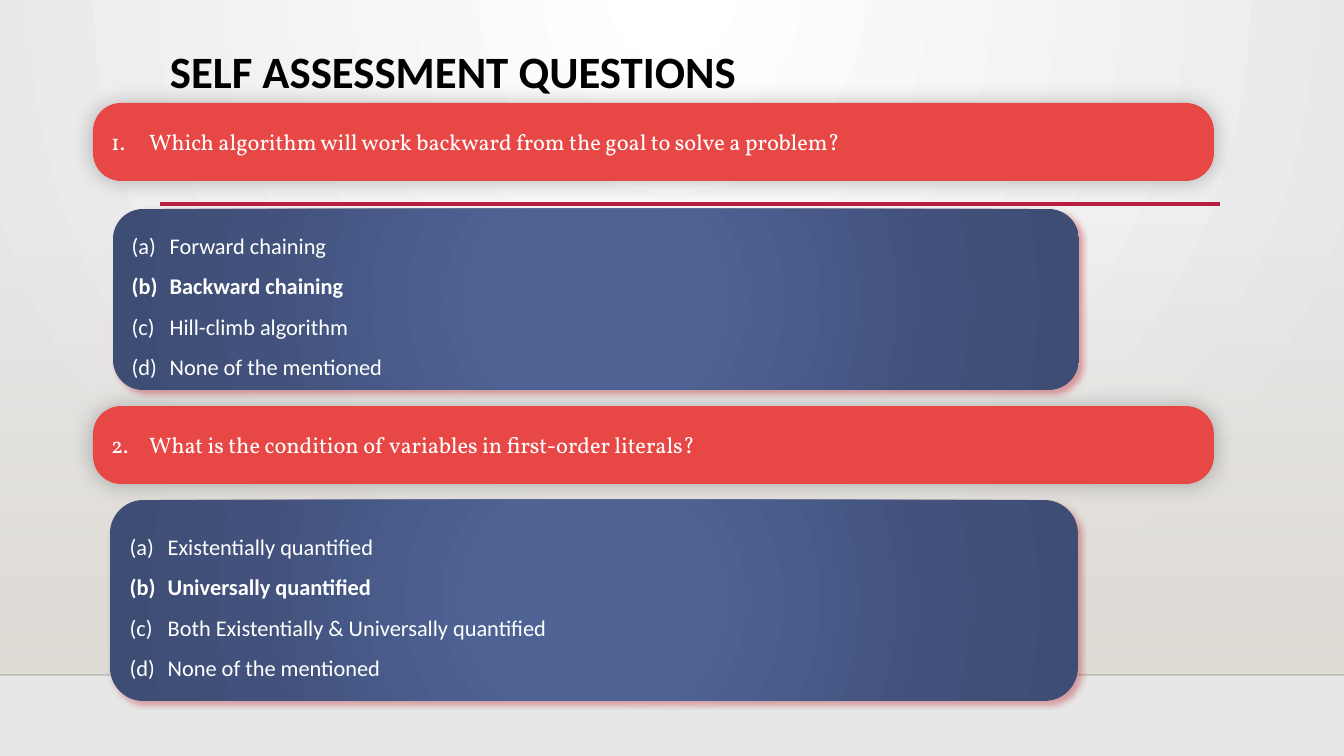
from lxml.etree import SubElement
from pptx import Presentation
from pptx.dml.color import RGBColor
from pptx.enum.shapes import MSO_CONNECTOR, MSO_SHAPE
from pptx.enum.text import MSO_ANCHOR, PP_ALIGN
from pptx.oxml import parse_xml
from pptx.oxml.ns import nsdecls, qn
from pptx.util import Pt

SCALE = 914400 / 100.8
WIDTH, HEIGHT = 1344, 756
INDENT = 38

WHITE = RGBColor(0xFF, 0xFF, 0xFF)
BLACK = RGBColor(0x00, 0x00, 0x00)
RULE = RGBColor(0x00, 0x00, 0x01)
SILVER = RGBColor(0xE7, 0xE7, 0xE7)
SAND = RGBColor(0xDF, 0xDB, 0xD5)
CRIMSON = RGBColor(0xB7, 0x1E, 0x42)
RED = RGBColor(0xE8, 0x48, 0x45)
ROSE = RGBColor(0xBA, 0x25, 0x32)
BLUE = RGBColor(0x4E, 0x62, 0x94)
SLATE = RGBColor(0x42, 0x52, 0x7C)
NAVY = RGBColor(0x3E, 0x4D, 0x74)

LINEAR = '<a:lin ang="5400000" scaled="0"/>'
CIRCLE = '<a:path path="circle"><a:fillToRect l="{}" t="{}" r="{}" b="{}"/></a:path>'
SPOTLIGHT = CIRCLE.format(43000, 0, 43000, 100000)
CENTERED = CIRCLE.format(50000, 50000, 50000, 50000)

TITLE_FONT = {"name": "Calibri", "size": Pt(32), "bold": True}
QUESTION_FONT = {"name": "Vollkorn", "size": Pt(16)}
ANSWER_FONT = {"name": "Calibri", "size": Pt(16)}

QUIZ = [
    {
        "question": "Which algorithm will work backward from the goal to solve a problem?",
        "question_box": (93, 103, 1121, 78),
        "answers": ["Forward chaining", "Backward chaining",
                    "Hill-climb algorithm", "None of the mentioned"],
        "answer_box": (113, 209, 966, 181),
        "correct": 1,
    },
    {
        "question": "What is the condition of variables in first-order literals?",
        "question_box": (93, 406, 1121, 78),
        "answers": ["Existentially quantified", "Universally quantified",
                    "Both Existentially & Universally quantified",
                    "None of the mentioned"],
        "answer_box": (110, 500, 968, 201),
        "correct": 1,
    },
]


def px(n):
    return round(n * SCALE)


def set_gradient(fill, element, stops, shade):
    fill.gradient()
    old = element.find(".//" + qn("a:gradFill"))
    marks = "".join(
        f'<a:gs pos="{pos * 1000}"><a:srgbClr val="{color}">'
        f'<a:alpha val="{alpha * 1000}"/></a:srgbClr></a:gs>'
        for pos, color, alpha in stops)
    grad = parse_xml(f'<a:gradFill {nsdecls("a")} rotWithShape="1">'
                     f'<a:gsLst>{marks}</a:gsLst>{shade}</a:gradFill>')
    old.getparent().replace(old, grad)


def add_panel(s, kind, box):
    sp = s.shapes.add_shape(kind, *map(px, box))
    sp.shadow.inherit = False
    sp.line.fill.background()
    return sp


def add_shadow(sp, color, alpha, blur, dist, angle):
    effects = sp.element.spPr.find(qn("a:effectLst"))
    shadow = SubElement(effects, qn("a:outerShdw"), blurRad=str(Pt(blur)),
                        dist=str(Pt(dist)), dir=str(angle * 60000),
                        algn="ctr", rotWithShape="0")
    tint = SubElement(shadow, qn("a:srgbClr"), val=str(color))
    SubElement(tint, qn("a:alpha"), val=str(alpha * 1000))


def add_rule(s, x1, x2, y, color, width):
    line = s.shapes.add_connector(MSO_CONNECTOR.STRAIGHT,
                                  px(x1), px(y), px(x2), px(y))
    line.line.color.rgb = color
    line.line.width = Pt(width)
    SubElement(line.element.spPr, qn("a:effectLst"))
    return line


def write(p, text, fmt, color):
    p.alignment = PP_ALIGN.LEFT
    r = p.add_run()
    r.text = text
    for key, value in fmt.items():
        setattr(r.font, key, value)
    r.font.color.rgb = color


def number(p, scheme, start=1):
    pPr = p._p.get_or_add_pPr()
    pPr.set("marL", str(px(INDENT)))
    pPr.set("indent", str(-px(INDENT)))
    SubElement(pPr, qn("a:buFont"), typeface="+mj-lt")
    SubElement(pPr, qn("a:buAutoNum"), type=scheme, startAt=str(start))


def add_backdrop(s, box):
    x, y, w, h = box
    set_gradient(s.background.fill, s.element,
                 [(0, WHITE, 100), (100, SILVER, 100)], SPOTLIGHT)
    floor = y + h - 81
    band = add_panel(s, MSO_SHAPE.RECTANGLE, (x, y + 223, w, floor - y - 223))
    set_gradient(band.fill, band.element,
                 [(0, SAND, 0), (100, SAND, 100)], LINEAR)
    edge = add_rule(s, x, x + w, floor, RULE, 1)
    tint = edge.element.spPr.find(".//" + qn("a:srgbClr"))
    SubElement(tint, qn("a:alpha"), val="20000")
    add_rule(s, x + 160, x + 1220, y + 204, CRIMSON, 2.5)


def add_question(s, box, text, start):
    sp = add_panel(s, MSO_SHAPE.ROUNDED_RECTANGLE, box)
    sp.adjustments[0] = 0.36
    sp.fill.solid()
    sp.fill.fore_color.rgb = RED
    add_shadow(sp, BLACK, 25, 15, 0, 0)
    tf = sp.text_frame
    tf.word_wrap = True
    tf.vertical_anchor = MSO_ANCHOR.MIDDLE
    p = tf.paragraphs[0]
    number(p, "arabicPeriod", start)
    write(p, text, QUESTION_FONT, WHITE)


def add_answers(s, box, answers, correct):
    sp = add_panel(s, MSO_SHAPE.ROUNDED_RECTANGLE, box)
    set_gradient(sp.fill, sp.element,
                 [(0, BLUE, 100), (23, BLUE, 100), (69, SLATE, 100),
                  (97, NAVY, 100)], CENTERED)
    add_shadow(sp, ROSE, 40, 4, 3, 45)
    tf = sp.text_frame
    tf.word_wrap = True
    tf.vertical_anchor = MSO_ANCHOR.MIDDLE
    for i, answer in enumerate(answers):
        p = tf.add_paragraph() if i else tf.paragraphs[0]
        number(p, "alphaLcParenBoth")
        p.line_spacing = 1.5
        write(p, answer, {**ANSWER_FONT, "bold": i == correct}, WHITE)


def add_title(s, box, text):
    tf = s.shapes.add_textbox(*map(px, box)).text_frame
    tf.word_wrap = True
    write(tf.paragraphs[0], text, TITLE_FONT, BLACK)


def main():
    prs = Presentation()
    prs.slide_width, prs.slide_height = px(WIDTH), px(HEIGHT)
    s = prs.slides.add_slide(prs.slide_layouts[6])
    add_backdrop(s, (0, 0, WIDTH, HEIGHT))
    for i, item in enumerate(QUIZ, 1):
        add_question(s, item["question_box"], item["question"], i)
        add_answers(s, item["answer_box"], item["answers"], item["correct"])
    add_title(s, (160, 39, 755, 65), "SELF ASSESSMENT QUESTIONS")
    prs.save("out.pptx")


if __name__ == "__main__":
    main()
